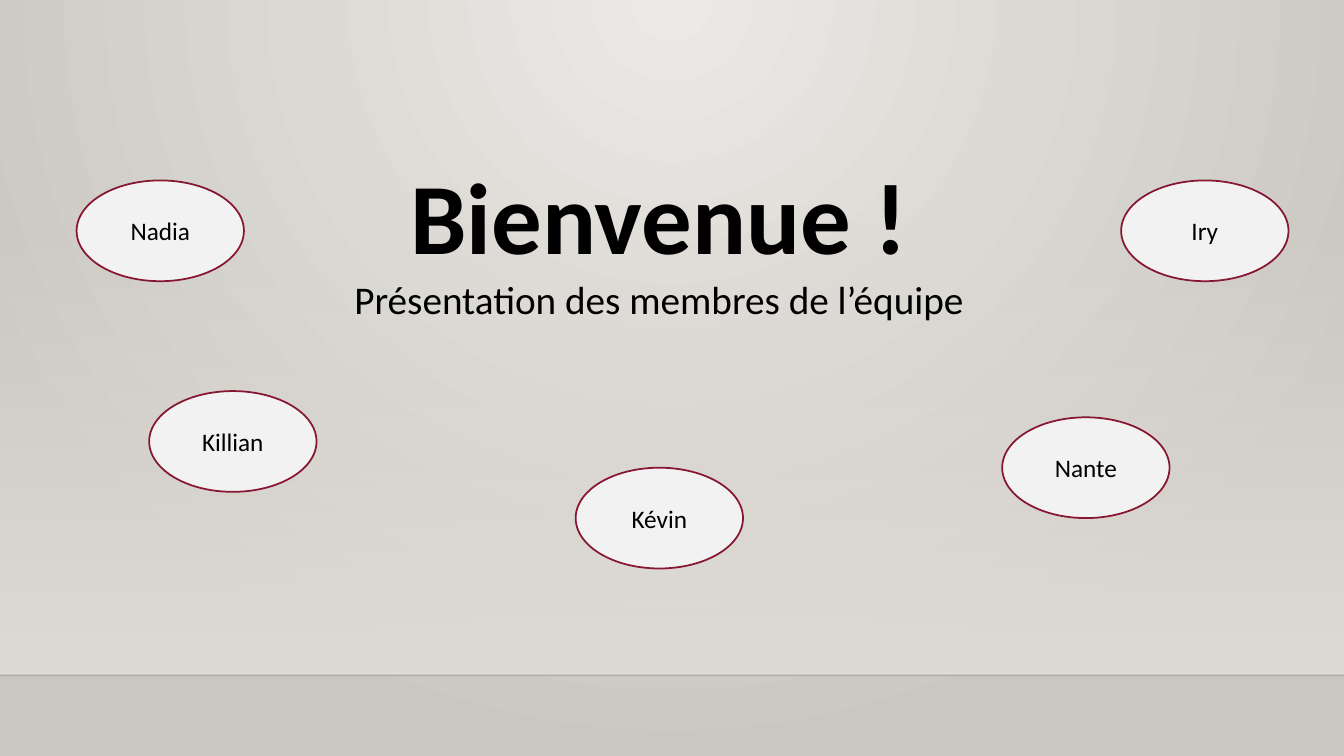
from lxml import etree
from pptx import Presentation
from pptx.dml.color import RGBColor
from pptx.enum.shapes import MSO_CONNECTOR, MSO_SHAPE
from pptx.enum.text import MSO_ANCHOR, MSO_AUTO_SIZE, PP_ALIGN
from pptx.oxml.ns import qn
from pptx.util import Inches, Pt

RECTANGLE, OVAL = MSO_SHAPE.RECTANGLE, MSO_SHAPE.OVAL
STRAIGHT = MSO_CONNECTOR.STRAIGHT
MIDDLE = MSO_ANCHOR.MIDDLE
CENTER = PP_ALIGN.CENTER
GROW = MSO_AUTO_SIZE.SHAPE_TO_FIT_TEXT

GLOW = RGBColor(0xEC, 0xEA, 0xE7)
EDGE = RGBColor(0xCA, 0xC7, 0xC1)
WALL = RGBColor(0xDF, 0xDB, 0xD5)
HORIZON = RGBColor(0x00, 0x00, 0x01)
BLACK = RGBColor(0x00, 0x00, 0x00)
PALE = RGBColor(0xF2, 0xF2, 0xF2)
BURGUNDY = RGBColor(0x87, 0x16, 0x31)

WIDTH, HEIGHT = 13.33, 7.5
HORIZON_Y = 6.7
WALL_TOP = 2.21
MEMBER_SIZE = (1.66, 1)
MEMBERS = [
    ("Nadia", 0.76, 1.79),
    ("Killian", 1.48, 3.88),
    ("Kévin", 5.71, 4.64),
    ("Nante", 9.94, 4.14),
    ("Iry", 11.12, 1.79),
]


class WelcomeSlide:
    """Draws the elements of the welcome slide in one shared style."""

    font = "Calibri"

    def __init__(self, slide):
        self.slide = slide

    def set_gradient(self, fill, *colors):
        fill.gradient()
        for stop, color in zip(fill.gradient_stops, colors):
            stop.color.rgb = color

    def set_alpha(self, color_element, percent):
        etree.SubElement(color_element, qn("a:alpha"), val=str(percent * 1000))

    def backdrop(self, center, edge):
        self.set_gradient(self.slide.background.fill, center, edge)
        gradient = next(self.slide.element.iter(qn("a:gradFill")))
        gradient.remove(gradient.find(qn("a:lin")))
        glow = etree.SubElement(gradient, qn("a:path"), {"path": "circle"})
        etree.SubElement(glow, qn("a:fillToRect"), l="43000", t="0", r="43000", b="100000")

    def shape(self, kind, left, top, width, height):
        shape = self.slide.shapes.add_shape(
            kind, Inches(left), Inches(top), Inches(width), Inches(height))
        shape.shadow.inherit = False
        return shape

    def fading_band(self, top, bottom, color):
        band = self.shape(RECTANGLE, 0, top, WIDTH, bottom - top)
        band.line.fill.background()
        self.set_gradient(band.fill, color, color)
        band.fill.gradient_angle = 270
        self.set_alpha(next(band.element.iter(qn("a:srgbClr"))), 0)

    def rule(self, y, color):
        rule = self.slide.shapes.add_connector(
            STRAIGHT, 0, Inches(y), Inches(WIDTH), Inches(y))
        rule.line.color.rgb = color
        rule.line.width = Pt(1)
        self.set_alpha(next(rule.element.iter(qn("a:srgbClr"))), 20)
        etree.SubElement(rule.element.spPr, qn("a:effectLst"))

    def style(self, paragraph, size, bold=False):
        paragraph.alignment = CENTER
        font = paragraph.runs[0].font
        font.name, font.size, font.bold = self.font, Pt(size), bold
        font.color.rgb = BLACK

    def heading(self, title, subtitle, left, top, width, height):
        box = self.slide.shapes.add_textbox(
            Inches(left), Inches(top), Inches(width), Inches(height))
        frame = box.text_frame
        frame.word_wrap = True
        frame.auto_size = GROW
        frame.text = f"{title}\n{subtitle}"
        self.style(frame.paragraphs[0], 72, bold=True)
        self.style(frame.paragraphs[1], 28)

    def member(self, name, left, top):
        bubble = self.shape(OVAL, left, top, *MEMBER_SIZE)
        bubble.fill.solid()
        bubble.fill.fore_color.rgb = PALE
        bubble.line.color.rgb = BURGUNDY
        bubble.line.width = Pt(1.25)
        bubble.text_frame.text = name
        bubble.text_frame.vertical_anchor = MIDDLE
        self.style(bubble.text_frame.paragraphs[0], 18)


def main():
    prs = Presentation()
    prs.slide_width, prs.slide_height = Inches(WIDTH), Inches(HEIGHT)
    welcome = WelcomeSlide(prs.slides.add_slide(prs.slide_layouts[6]))
    welcome.backdrop(GLOW, EDGE)
    welcome.fading_band(WALL_TOP, HORIZON_Y, WALL)
    welcome.rule(HORIZON_Y, HORIZON)
    welcome.heading("Bienvenue !", "Présentation des membres de l’équipe",
                    2.95, 1.48, 7.17, 1.85)
    for name, left, top in MEMBERS:
        welcome.member(name, left, top)
    prs.save("out.pptx")


if __name__ == "__main__":
    main()
